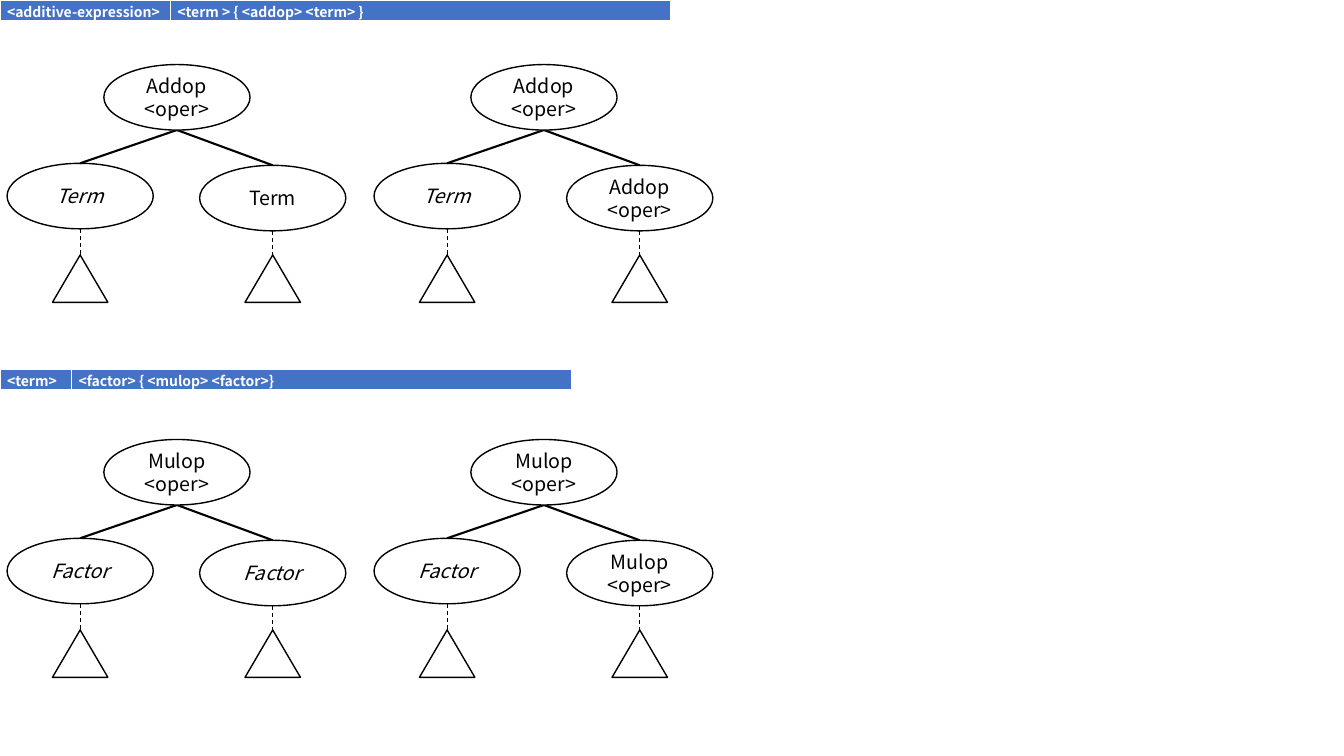
from lxml import etree
from pptx import Presentation
from pptx.dml.color import RGBColor
from pptx.enum import dml, shapes, text
from pptx.oxml import ns
from pptx.util import Inches, Pt

BLACK = RGBColor(0x00, 0x00, 0x00)
WHITE = RGBColor(0xFF, 0xFF, 0xFF)
BLUE = RGBColor(0x44, 0x72, 0xC4)
FONT = "Noto Sans CJK KR"

NODE_WIDTH, NODE_HEIGHT = 1.45, 0.65
TRIANGLE_WIDTH, TRIANGLE_HEIGHT = 0.55, 0.47
TRIANGLE_DROP = 1.89
BORDERS = {"a:lnL": 1, "a:lnR": 1, "a:lnT": 1, "a:lnB": 3}

ADDOP = ("Addop", "<oper>")
MULOP = ("Mulop", "<oper>")
TERM = ("Term",)
FACTOR = ("Factor",)


def add_run(paragraph, content, size, color, bold=False, italic=False):
    run = paragraph.add_run()
    run.text = content
    font = run.font
    font.name, font.size, font.bold, font.italic = FONT, Pt(size), bold, italic
    font.color.rgb = color


def add_borders(cell):
    properties = cell._tc.get_or_add_tcPr()
    for tag, width in BORDERS.items():
        border = etree.SubElement(properties, ns.qn(tag), w=str(Pt(width)))
        fill = etree.SubElement(border, ns.qn("a:solidFill"))
        etree.SubElement(fill, ns.qn("a:srgbClr"), val=str(WHITE))


def add_rule(slide, left, top, height, widths, contents):
    frame = slide.shapes.add_table(1, len(widths), Inches(left), Inches(top),
                                   Inches(sum(widths)), Inches(height))
    table = frame.table
    table.rows[0].height = Inches(height)
    for column, width, content in zip(range(len(widths)), widths, contents):
        table.columns[column].width = Inches(width)
        cell = table.cell(0, column)
        add_borders(cell)
        cell.fill.solid()
        cell.fill.fore_color.rgb = BLUE
        cell.margin_left = cell.margin_right = Inches(0.07)
        cell.margin_top = cell.margin_bottom = 0
        paragraph = cell.text_frame.paragraphs[0]
        paragraph.line_spacing = 1.07
        paragraph.space_after = Pt(8)
        add_run(paragraph, content, 10, WHITE, bold=True)


def add_line(slide, start, end, width, dash=None):
    line = slide.shapes.add_connector(
        shapes.MSO_CONNECTOR.STRAIGHT, *(Inches(value) for value in start + end))
    line.line.color.rgb = BLACK
    line.line.width = Pt(width)
    line.line.dash_style = dash
    etree.SubElement(line._element.spPr, ns.qn("a:effectLst"))


def add_outline(slide, kind, left, top, width, height, filled=True):
    shape = slide.shapes.add_shape(
        kind, Inches(left), Inches(top), Inches(width), Inches(height))
    shape.shadow.inherit = False
    if filled:
        shape.fill.solid()
        shape.fill.fore_color.rgb = WHITE
    else:
        shape.fill.background()
    shape.line.color.rgb = BLACK
    shape.line.width = Pt(1)
    return shape


def add_node(slide, left, top, label, filled=True, italic=False):
    node = add_outline(slide, shapes.MSO_SHAPE.OVAL, left, top,
                       NODE_WIDTH, NODE_HEIGHT, filled)
    frame = node.text_frame
    frame.word_wrap = True
    frame.vertical_anchor = text.MSO_ANCHOR.MIDDLE
    frame.margin_left = frame.margin_right = 0
    frame.margin_top = frame.margin_bottom = Inches(0.04)
    for index, content in enumerate(label):
        paragraph = frame.paragraphs[0] if index == 0 else frame.add_paragraph()
        paragraph.alignment = text.PP_ALIGN.CENTER
        add_run(paragraph, content, 14, BLACK, italic=italic)


def add_tree(slide, left, top, root, operand, right_label, right_italic):
    middle = NODE_WIDTH / 2
    root_left = left + 0.96
    branches = (
        (left, top + 0.98, operand, False, True),
        (left + 1.91, top + 1, right_label, True, right_italic),
    )
    for child_left, child_top, label, filled, italic in branches:
        center = child_left + middle
        triangle_top = top + TRIANGLE_DROP
        add_line(slide, (root_left + middle, top + NODE_HEIGHT),
                 (center, child_top), 1.5)
        add_line(slide, (center, child_top + NODE_HEIGHT), (center, triangle_top),
                 0.75, dml.MSO_LINE.DASH)
        add_outline(slide, shapes.MSO_SHAPE.ISOSCELES_TRIANGLE,
                    center - TRIANGLE_WIDTH / 2, triangle_top,
                    TRIANGLE_WIDTH, TRIANGLE_HEIGHT)
        add_node(slide, child_left, child_top, label, filled, italic)
    add_node(slide, root_left, top, root)


def add_grammar_section(slide, tree_top, operator, operand, right_italic):
    add_tree(slide, 0.07, tree_top, operator, operand, operand, right_italic)
    add_tree(slide, 3.71, tree_top, operator, operand, operator, False)


def main():
    presentation = Presentation()
    presentation.slide_width = Inches(13.33)
    presentation.slide_height = Inches(7.5)
    slide = presentation.slides.add_slide(presentation.slide_layouts[6])
    add_rule(slide, 0, 0, 0.16, (1.69, 4.96),
             ("<additive-expression>", "<term > { <addop> <term> }"))
    add_rule(slide, 0, 3.66, 0.17, (0.71, 4.96),
             ("<term>", "<factor> { <mulop> <factor>}"))
    add_grammar_section(slide, 0.64, ADDOP, TERM, False)
    add_grammar_section(slide, 4.36, MULOP, FACTOR, True)
    presentation.save("out.pptx")


if __name__ == "__main__":
    main()
